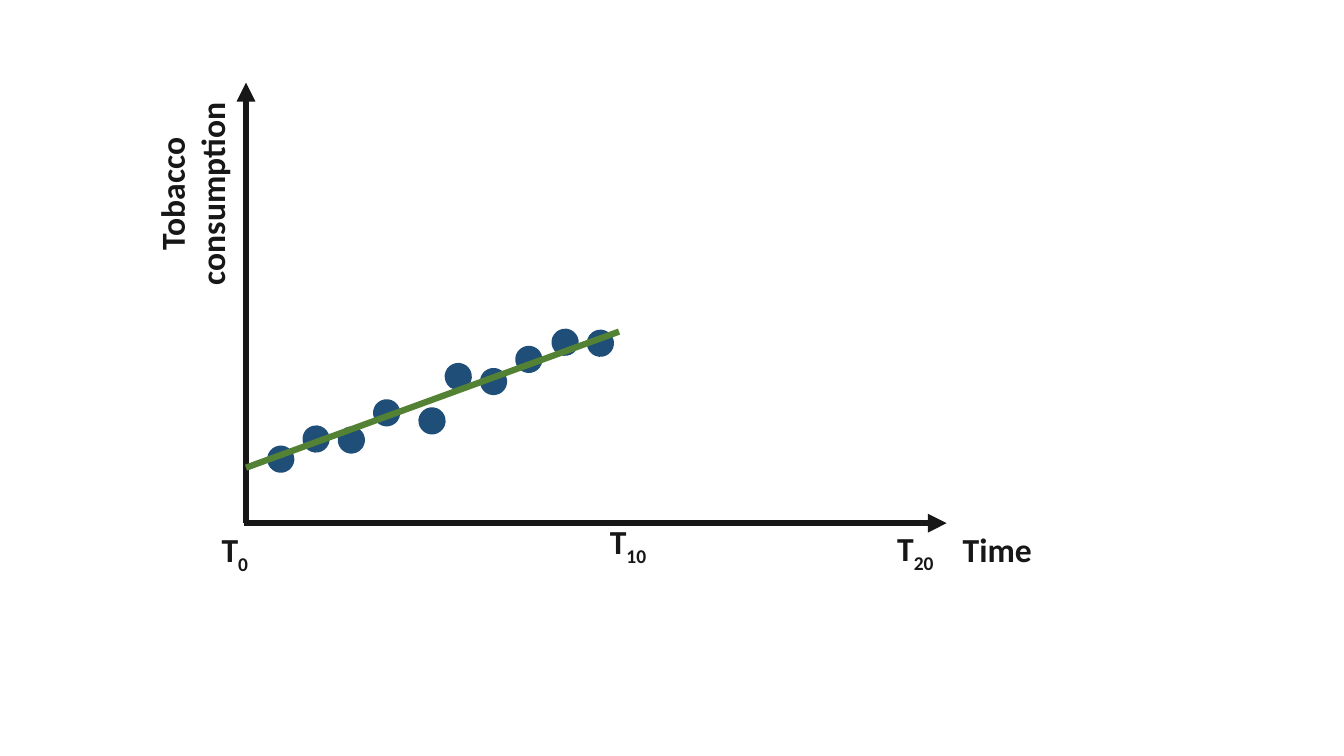
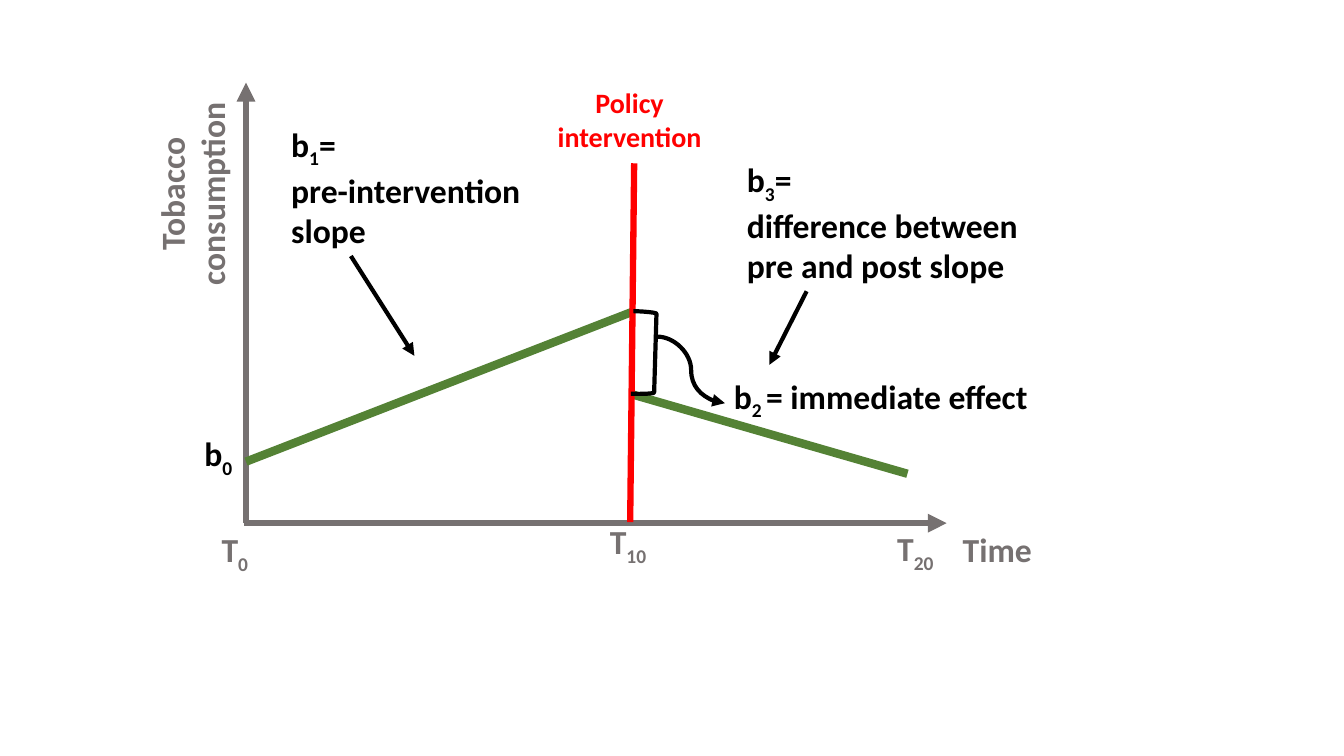
import pptx
import pptx.dml.color
import pptx.enum.shapes
import pptx.enum.text
import pptx.oxml
import pptx.oxml.ns
import pptx.util
from dataclasses import dataclass

Inches = pptx.util.Inches
Pt = pptx.util.Pt
Shape = pptx.enum.shapes.MSO_SHAPE
Link = pptx.enum.shapes.MSO_CONNECTOR
Align = pptx.enum.text.PP_ALIGN


@dataclass(frozen=True)
class Theme:
    font: str = "Calibri"
    body: int = 24
    small: int = 20
    thin: float = 3
    mid: float = 4.5
    thick: float = 6
    black: str = "000000"
    dark: str = "181717"
    gray: str = "767171"
    blue: str = "1F4E79"
    green: str = "548235"
    red: str = "FF0000"


THEME = Theme()
DOT_SIZE = 0.27
DOTS = [(2.65, 4.42), (3, 4.22), (3.35, 4.23), (3.7, 3.96), (4.15, 4.04),
        (4.41, 3.6), (4.76, 3.65), (5.11, 3.43), (5.47, 3.26), (5.82, 3.27)]


def color(code):
    return pptx.dml.color.RGBColor.from_string(code)


def add_line(slide, start, end, ink, width, arrow=False, kind=Link.STRAIGHT):
    """Draw a line, with a triangle head if it is an arrow."""
    line = slide.shapes.add_connector(kind, *map(Inches, start + end))
    line.line.color.rgb = color(ink)
    line.line.width = Pt(width)
    make = pptx.oxml.ns.qn
    if arrow:
        head = line.line._get_or_add_ln().makeelement(
            make("a:tailEnd"), {"type": "triangle"})
        line.line._get_or_add_ln().append(head)
    props = line._element.spPr
    props.append(props.makeelement(make("a:effectLst"), {}))


def add_text(slide, box, *paras, ink=THEME.black, size=THEME.body,
             align=Align.LEFT, turn=0):
    """Write bold text; parts between underscores are subscripts."""
    label = slide.shapes.add_textbox(*map(Inches, box))
    label.rotation = turn
    frame = label.text_frame
    frame.word_wrap = True
    frame.auto_size = pptx.enum.text.MSO_AUTO_SIZE.SHAPE_TO_FIT_TEXT
    for row, text in enumerate(paras):
        para = frame.add_paragraph() if row else frame.paragraphs[0]
        para.alignment = align
        font = para.font
        font.name, font.size, font.bold = THEME.font, Pt(size), True
        font.color.rgb = color(ink)
        for spot, part in enumerate(text.split("_")):
            for count, piece in enumerate(part.split("\v")):
                if count:
                    para.add_line_break()
                if piece:
                    run = para.add_run()
                    run.text = piece
                    if spot % 2:
                        run.font._element.set("baseline", "-25000")


def add_shape(slide, kind, box, turn, fill=None, line=None):
    """Place a preset shape with either a fill or an outline."""
    shape = slide.shapes.add_shape(kind, *map(Inches, box))
    shape.rotation = turn
    shape.shadow.inherit = False
    if fill:
        shape.fill.solid()
        shape.fill.fore_color.rgb = color(fill)
    else:
        shape.fill.background()
    if line:
        shape.line.color.rgb = color(line)
        shape.line.width = Pt(THEME.thin)
    else:
        shape.line.fill.background()


def add_axes(slide, ink):
    """Draw both axes with their titles and time marks."""
    for start, end in [((2.44, 5.19), (2.44, 0.82)),
                       ((2.42, 5.19), (9.39, 5.19))]:
        add_line(slide, start, end, ink, THEME.mid, arrow=True)
    for left, top, text in [(9.45, 5.2, "Time"), (2.1, 5.2, "T_0_"),
                            (5.95, 5.12, "T_10_"), (8.8, 5.19, "T_20_")]:
        add_text(slide, (left, top, 1.24, 0.5), text, ink=ink)
    add_text(slide, (0.63, 1.47, 2.55, 0.91), "Tobacco consumption",
             ink=ink, align=Align.CENTER, turn=270)


def draw_trend(slide):
    add_axes(slide, THEME.dark)
    # Data points and fitted line
    for left, top in DOTS:
        add_shape(slide, Shape.OVAL, (left, top, DOT_SIZE, DOT_SIZE), 216.4,
                  fill=THEME.blue)
    add_line(slide, (2.44, 4.64), (6.14, 3.29), THEME.green, THEME.mid)


def draw_effect(slide):
    add_axes(slide, THEME.gray)
    # Slopes before and after the policy
    for start, end in [((2.44, 4.58), (6.28, 3.09)),
                       ((6.26, 3.91), (9, 4.7))]:
        add_line(slide, start, end, THEME.green, THEME.thick)
    # Policy mark
    add_text(slide, (5.18, 0.8, 2.13, 0.77), "Policy intervention",
             ink=THEME.red, size=THEME.small, align=Align.CENTER)
    add_line(slide, (6.29, 1.62), (6.25, 5.18), THEME.red, THEME.mid)
    # Terms of the model
    add_text(slide, (1.93, 4.25, 1.37, 0.5), "b_0_")
    add_text(slide, (2.79, 1.18, 3.16, 1.31),
             "b_1_= \vpre-intervention", "slope")
    add_text(slide, (7.18, 3.68, 3.91, 0.5), "b_2 _= immediate effect")
    add_text(slide, (7.31, 1.53, 3.16, 1.31),
             "b_3_= \vdifference between pre and post slope")
    # Pointers
    add_shape(slide, Shape.RIGHT_BRACKET, (6.27, 3.09, 0.23, 0.82), 1.7,
              line=THEME.black)
    for start, end, kind in [((3.48, 2.54), (4.11, 3.53), Link.STRAIGHT),
                             ((8, 2.89), (7.63, 3.62), Link.STRAIGHT),
                             ((6.52, 3.34), (7.19, 4), Link.CURVE)]:
        add_line(slide, start, end, THEME.black, THEME.thin, True, kind)


def main():
    deck = pptx.Presentation()
    deck.slide_width, deck.slide_height = Inches(13.33), Inches(7.5)
    for draw in (draw_trend, draw_effect):
        draw(deck.slides.add_slide(deck.slide_layouts[6]))
    deck.save("out.pptx")


if __name__ == "__main__":
    main()
